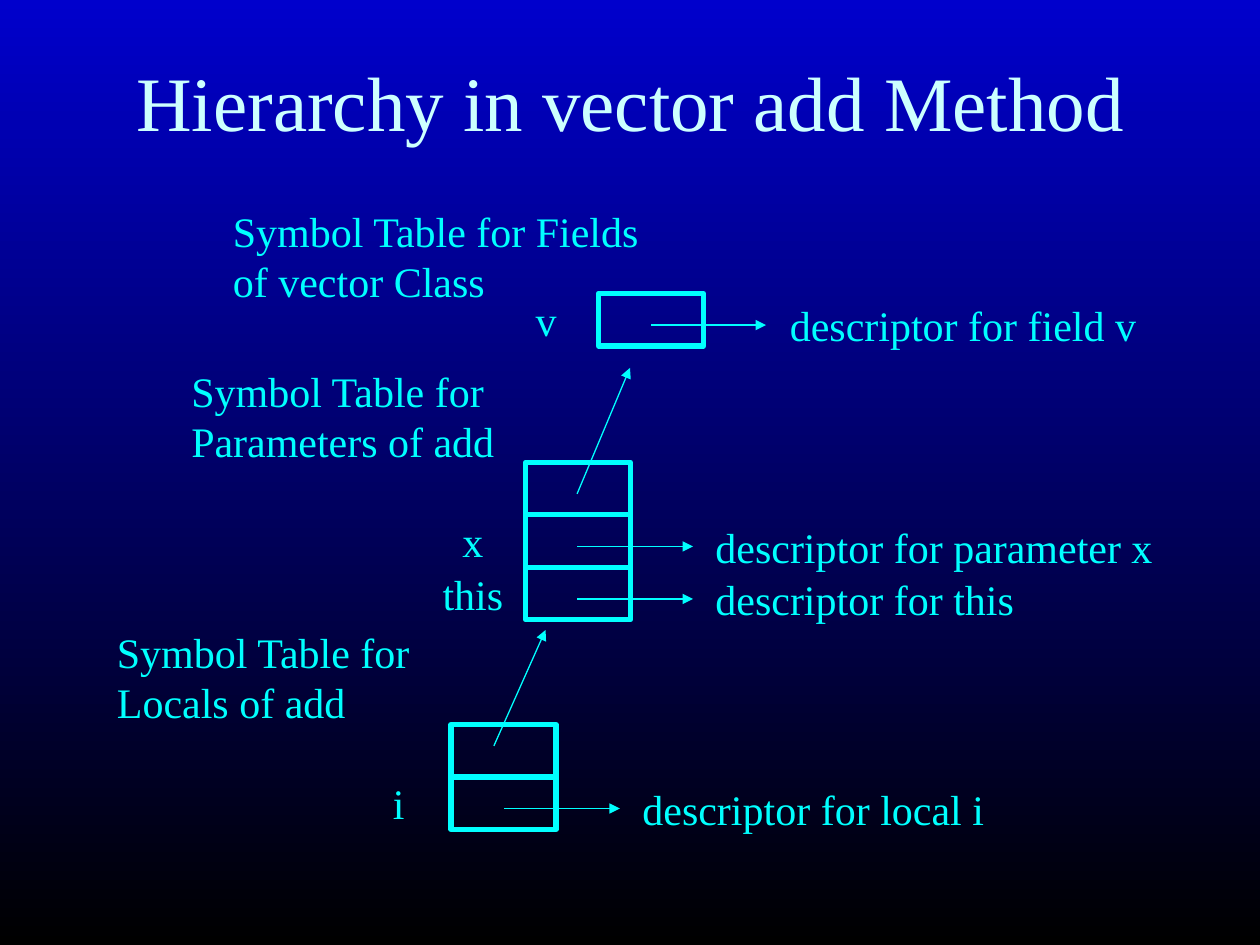
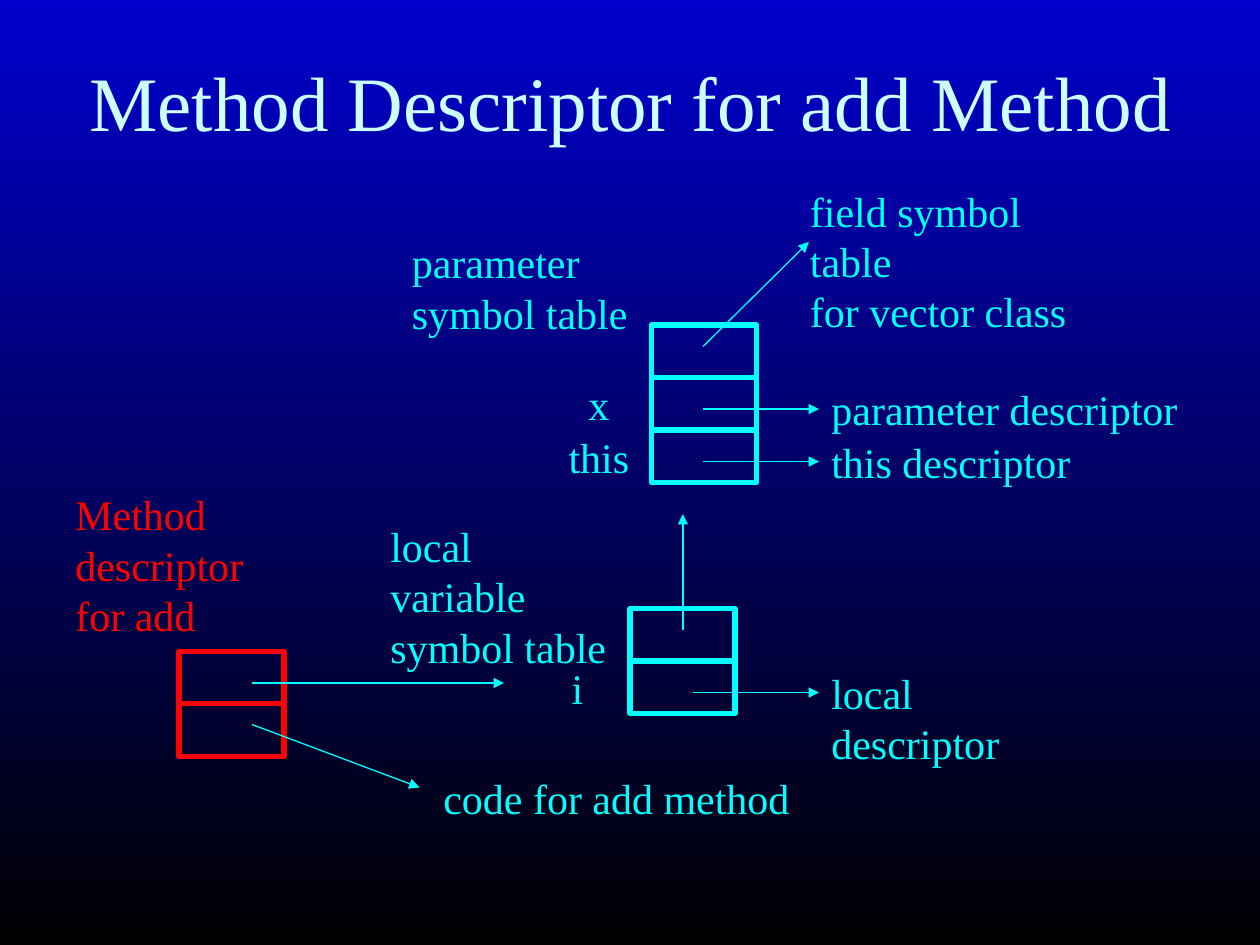
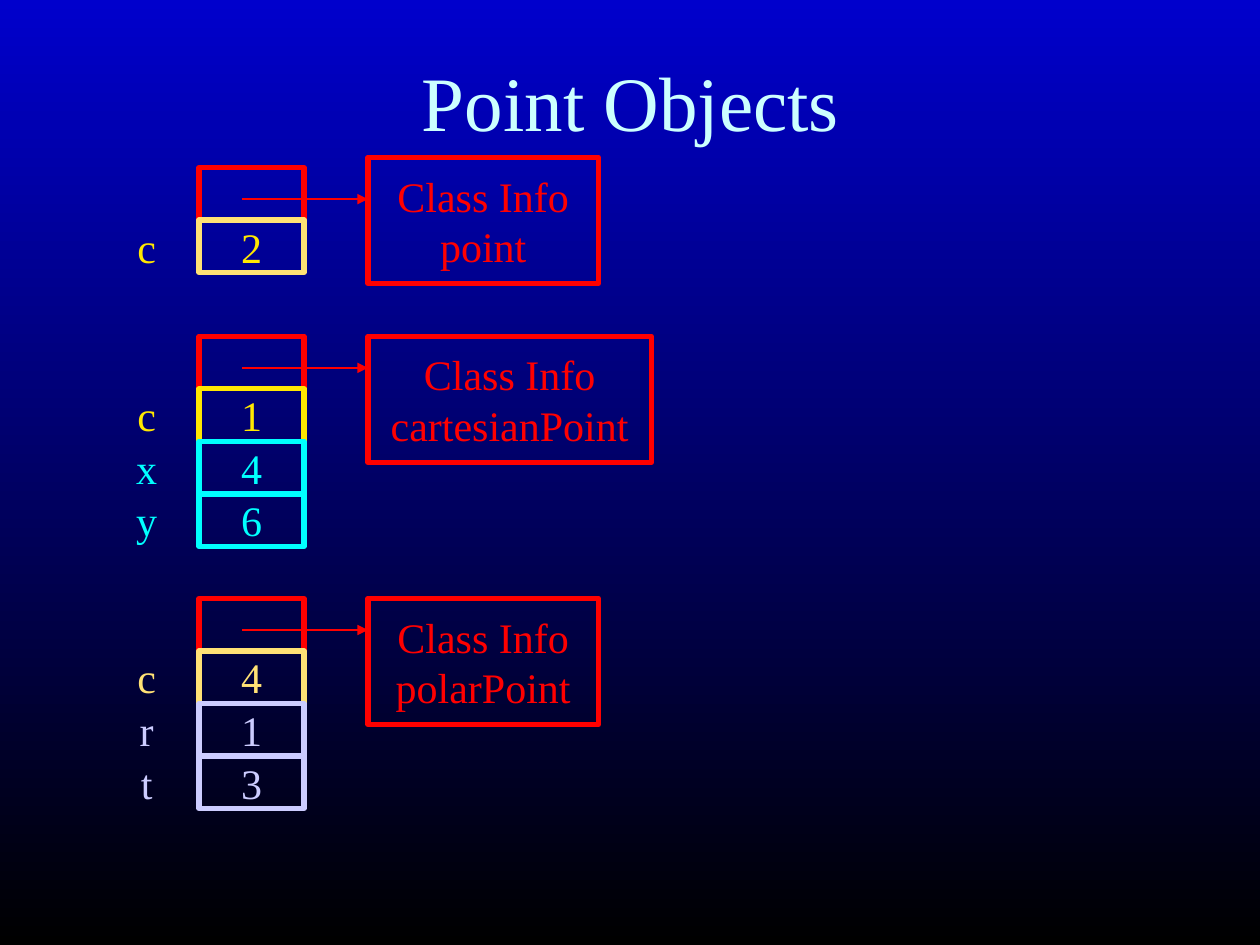
"""Builds three slides on symbol tables, method descriptors and point objects."""
from pptx import Presentation
from pptx.dml.color import RGBColor
from pptx.enum.shapes import MSO_CONNECTOR as Connector, MSO_SHAPE as Shape
from pptx.enum.text import MSO_ANCHOR as Anchor, PP_ALIGN as Align
from pptx.oxml.ns import qn
from pptx.util import Inches, Pt
from lxml.etree import SubElement

FONT = "Times New Roman"
COLOURS = {
    "sky": "0000CC", "night": "000000", "title": "CCFFFF", "cyan": "00FFFF",
    "red": "FF0000", "yellow": "FFE701", "sand": "FFE175", "lilac": "CCCCFF",
}
CELL_W, CELL_H = 10 / 12, 5 / 12
ARROW_DROP = 0.25
LINE_H, TEXT_MARGIN = 0.4, 0.1

SYMBOL_SLIDES = [
    {
        "title": "Hierarchy in vector add Method",
        "tables": [
            {"left": 4.75, "top": 2.33, "arrow": (5.17, 6.08), "descriptor_left": 6.17,
             "rows": [("v", "descriptor for field v", 2.95)]},
            {"left": 4.17, "top": 3.67, "arrow": (4.58, 5.5), "descriptor_left": 5.58,
             "rows": [None, ("x", "descriptor for parameter x", 3.67),
                      ("this", "descriptor for this", 2.57)]},
            {"left": 3.58, "top": 5.75, "arrow": (4, 4.92), "descriptor_left": 5,
             "rows": [None, ("i", "descriptor for local i", 2.91)]},
        ],
        "captions": [
            ("Symbol Table for Fields\nof vector Class", 1.75, 1.58, 3.45, "cyan"),
            ("Symbol Table for\nParameters of add", 1.42, 2.85, 2.63, "cyan"),
            ("Symbol Table for\nLocals of add", 0.83, 4.92, 2.63, "cyan"),
        ],
        "links": [(3.92, 5.92, 4.33, 5), (4.58, 3.92, 5, 2.92)],
    },
    {
        "title": "Method Descriptor for add Method",
        "tables": [
            {"left": 1.42, "top": 5.17, "colour": "red", "rows": [None, None]},
            {"left": 5.17, "top": 2.58, "arrow": (5.58, 6.5), "descriptor_left": 6.5,
             "rows": [None, ("x", "parameter descriptor", 2.95),
                      ("this", "this descriptor", 2.1)]},
            {"left": 5, "top": 4.83, "arrow": (5.5, 6.5), "descriptor_left": 6.5,
             "rows": [None, ("i", "local descriptor", 2.26)]},
        ],
        "captions": [
            ("field symbol table\nfor vector class", 6.33, 1.42, 2.6, "cyan"),
            ("parameter\nsymbol table", 3.17, 1.83, 1.91, "cyan"),
            ("local variable\nsymbol table", 3, 4.08, 2, "cyan"),
            ("code for add method", 3.42, 6.08, 2.95, "cyan"),
            ("Method\ndescriptor\nfor add", 0.5, 3.83, 1.53, "red"),
        ],
        "links": [(2, 5.42, 4, 5.42), (2, 5.75, 3.33, 6.25),
                  (5.42, 5, 5.42, 4.08), (5.58, 2.75, 6.42, 1.92)],
    },
]

POINTS_TITLE = "Point Objects"
OBJECT_LEFT, CLASS_LEFT, CLASS_H = 1.58, 2.92, 1
POINT_ARROW = (1.92, 2.92)
POINT_OBJECTS = [
    {"class": "point", "top": 1.33, "class_top": 1.25, "class_width": 1.83,
     "fields": [("c", "2", "yellow", "sand")]},
    {"class": "cartesianPoint", "top": 2.67, "class_top": 2.67, "class_width": 2.25,
     "fields": [("c", "1", "yellow", "yellow"), ("x", "4", "cyan", "cyan"),
                ("y", "6", "cyan", "cyan")]},
    {"class": "polarPoint", "top": 4.75, "class_top": 4.75, "class_width": 1.83,
     "fields": [("c", "4", "sand", "sand"), ("r", "1", "lilac", "lilac"),
                ("t", "3", "lilac", "lilac")]},
]


def rgb(colour):
    return RGBColor.from_string(COLOURS[colour])


def write(holder, text, colour="cyan", size=24, align=Align.CENTER,
          anchor=Anchor.MIDDLE, wrap=False):
    frame = holder.text_frame
    frame.word_wrap = wrap
    frame.vertical_anchor = anchor
    frame.text = text
    for paragraph in frame.paragraphs:
        paragraph.alignment = align
        for run in paragraph.runs:
            run.font.name = FONT
            run.font.size = Pt(size)
            run.font.color.rgb = rgb(colour)


def add_text(slide, text, left, top, width, height, **style):
    holder = slide.shapes.add_textbox(*map(Inches, (left, top, width, height)))
    write(holder, text, **style)


def add_caption(slide, text, left, top, width, colour="cyan"):
    height = LINE_H * len(text.splitlines()) + TEXT_MARGIN
    add_text(slide, text, left, top, width, height, colour=colour,
             align=Align.LEFT, anchor=Anchor.TOP)


def add_cell(slide, left, top, colour, width=CELL_W, height=CELL_H, text="", ink=None):
    cell = slide.shapes.add_shape(Shape.RECTANGLE,
                                  *map(Inches, (left, top, width, height)))
    cell.shadow.inherit = False
    cell.fill.background()
    cell.line.color.rgb = rgb(colour)
    cell.line.width = Pt(3)
    if text:
        write(cell, text, colour=ink or colour)


def add_name(slide, name, cell_left, top, colour="cyan"):
    add_text(slide, name, cell_left - CELL_W, top, CELL_W, CELL_H, colour=colour)


def add_arrow(slide, x1, y1, x2, y2, colour="cyan"):
    arrow = slide.shapes.add_connector(Connector.STRAIGHT,
                                       *map(Inches, (x1, y1, x2, y2)))
    arrow.line.color.rgb = rgb(colour)
    arrow.line.width = Pt(0.75)
    SubElement(arrow.line._get_or_add_ln(), qn("a:tailEnd"), type="triangle")
    SubElement(arrow._element.spPr, qn("a:effectLst"))


def add_slide(deck, title):
    slide = deck.slides.add_slide(deck.slide_layouts[6])
    add_text(slide, title, 0.42, 0.17, 9.17, 1.25, colour="title", size=44, wrap=True)
    return slide


def add_symbol_table(slide, table):
    left = table["left"]
    for index, row in enumerate(table["rows"]):
        top = table["top"] + index * CELL_H
        add_cell(slide, left, top, table.get("colour", "cyan"))
        if row:
            name, descriptor, width = row
            start, end = table["arrow"]
            add_name(slide, name, left, top)
            add_caption(slide, descriptor, table["descriptor_left"], top, width)
            add_arrow(slide, start, top + ARROW_DROP, end, top + ARROW_DROP)


def add_point_object(slide, point):
    top = point["top"]
    add_cell(slide, OBJECT_LEFT, top, "red")
    for index, (name, value, ink, border) in enumerate(point["fields"], start=1):
        field_top = top + index * CELL_H
        add_cell(slide, OBJECT_LEFT, field_top, border, text=value, ink=ink)
        add_name(slide, name, OBJECT_LEFT, field_top, ink)
    add_cell(slide, CLASS_LEFT, point["class_top"], "red", point["class_width"], CLASS_H,
             text="Class Info\n" + point["class"])
    start, end = POINT_ARROW
    add_arrow(slide, start, top + ARROW_DROP, end, top + ARROW_DROP, "red")


def main():
    deck = Presentation()
    deck.slide_width, deck.slide_height = Inches(10), Inches(7.5)
    backdrop = deck.slide_master.background.fill
    backdrop.gradient()
    backdrop.gradient_angle = 270
    for stop, colour in zip(backdrop.gradient_stops, ("sky", "night")):
        stop.color.rgb = rgb(colour)

    for content in SYMBOL_SLIDES:
        slide = add_slide(deck, content["title"])
        for table in content["tables"]:
            add_symbol_table(slide, table)
        for caption in content["captions"]:
            add_caption(slide, *caption)
        for link in content["links"]:
            add_arrow(slide, *link)

    slide = add_slide(deck, POINTS_TITLE)
    for point in POINT_OBJECTS:
        add_point_object(slide, point)
    deck.save("out.pptx")


if __name__ == "__main__":
    main()
